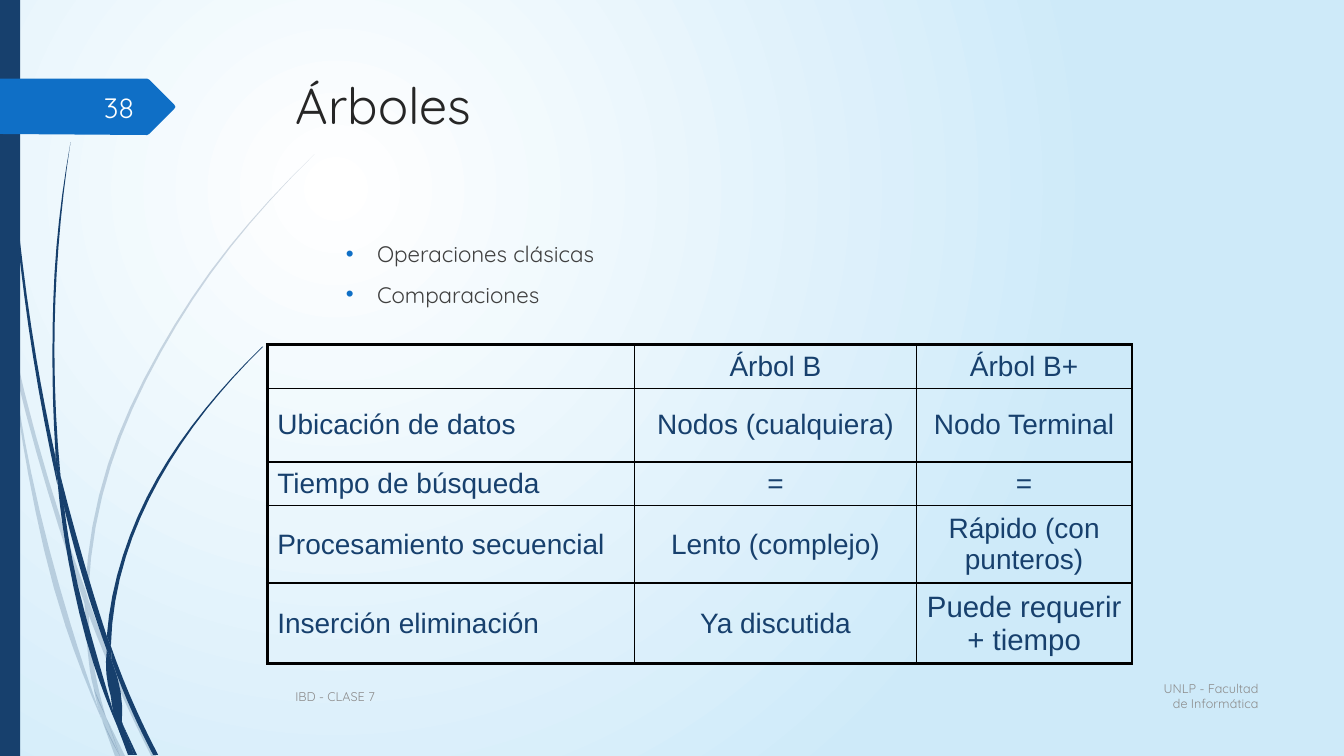
from dataclasses import dataclass

import pptx
import pptx.dml.color
import pptx.enum.shapes
import pptx.enum.text
import pptx.oxml.ns
import pptx.util
from lxml import etree

ALIGN, ANCHOR = pptx.enum.text.PP_ALIGN, pptx.enum.text.MSO_ANCHOR
Inches, Pt, qn = pptx.util.Inches, pptx.util.Pt, pptx.oxml.ns.qn
SLIDE_W, SLIDE_H = Inches(13.333), Inches(7.5)


@dataclass(frozen=True)
class Theme:
    font: str = "Quicksand"
    table_font: str = "Arial"
    navy: str = "17406D"
    blue: str = "0F6FC6"
    background: tuple = ("FFFFFF", "CEEAF9")
    border: str = "000000"
    title: tuple = (36, "262626")
    body: tuple = (16, "404040")
    footer: tuple = (9, "8C8C8C")
    number: tuple = (20, "FEFFFF")
    cell: tuple = (20, "17406D")
    last_cell: tuple = (21, "17406D")
    inner_border: float = 1
    outer_border: float = 2.25


THEME = Theme()

# Stalk pieces: left edge and right edge, top to bottom, in inches
PALE_STALKS = [
    ([(0, 2.99), (0.11, 3.5)], [(0, 2.82), (0.09, 3.22), (0.11, 3.5)]),
    ([(0.17, 3.76), (0.58, 5.22), (0.84, 5.99)], [(0.14, 3.45), (0.62, 5.2), (0.85, 5.86)]),
    ([(0.88, 6.1), (1.23, 6.94), (1.5, 7.5)], [(0.88, 5.96), (1.27, 6.92), (1.55, 7.5)]),
    ([(1.05, 7.11), (1.19, 7.5)], [(1.05, 7.11), (1.24, 7.5)]),
    ([(0.11, 3.5), (0.28, 4.7), (0.65, 6.21), (1.01, 7.14)],
     [(0.11, 3.5), (0.31, 4.69), (0.7, 6.19), (0.99, 7.07)]),
    ([(0.84, 5.99), (0.87, 6.46), (0.93, 6.83), (1.05, 7.11)],
     [(0.88, 6.1), (0.91, 6.46), (1.05, 7.11)]),
    ([(3.12, 1.53), (2.28, 2.44), (1.58, 3.48), (1.07, 4.61), (0.85, 5.84)],
     [(3.12, 1.53), (2.29, 2.45), (1.6, 3.49), (1.1, 4.62), (0.88, 5.84)]),
    ([(1.01, 7.14), (1.14, 7.5)], [(1.01, 7.14), (1.19, 7.5)]),
    ([(0.85, 5.86), (0.84, 5.99)], [(0.88, 5.96), (0.88, 6.1)]),
    ([(0.93, 6.83), (0.99, 7.07), (1.19, 7.5)], [(0.93, 6.83), (1.05, 7.11), (1.19, 7.5)]),
]
DARK_STALKS = [
    ([(0.03, 0), (0.07, 1.1), (0.17, 2.33), (0.33, 3.55), (0.57, 4.81)],
     [(0.04, 0), (0.08, 1.09), (0.19, 2.32), (0.36, 3.55), (0.55, 4.53)]),
    ([(0.64, 5.05), (0.88, 5.92), (1.06, 6.45)], [(0.6, 4.72), (0.93, 5.9), (1.06, 6.31)]),
    ([(1.11, 6.56), (1.32, 7.08), (1.52, 7.49)], [(1.1, 6.41), (1.36, 7.06), (1.57, 7.49)]),
    ([(0.57, 4.77), (0.68, 5.57), (0.93, 6.59), (1.17, 7.22)],
     [(0.64, 5.05), (0.72, 5.56), (0.98, 6.57), (1.16, 7.17)]),
    ([(0.7, 1.41), (0.56, 2.45), (0.52, 3.49), (0.55, 4.49)],
     [(0.7, 1.41), (0.58, 2.45), (0.54, 3.49), (0.6, 4.72)]),
    ([(1.22, 7.19), (1.33, 7.49)], [(1.22, 7.19), (1.36, 7.49)]),
    ([(0.55, 4.49), (0.57, 4.77), (0.64, 5.05)], [(0.55, 4.49), (0.6, 4.72), (0.64, 5.05)]),
    ([(2.6, 3.44), (2.04, 4.05), (1.56, 4.74), (1.22, 5.51), (1.06, 6.31)],
     [(2.61, 3.44), (2.05, 4.06), (1.58, 4.76), (1.25, 5.52), (1.1, 6.41)]),
    ([(1.17, 7.22), (1.27, 7.49)], [(1.17, 7.22), (1.31, 7.49)]),
    ([(1.06, 6.45), (1.1, 6.91), (1.22, 7.19)], [(1.06, 6.45), (1.11, 6.56), (1.21, 7.16)]),
    ([(1.06, 6.31), (1.06, 6.45)], [(1.1, 6.41), (1.11, 6.56)]),
    ([(1.1, 6.91), (1.17, 7.22), (1.3, 7.49)], [(1.1, 6.91), (1.22, 7.19), (1.33, 7.49)]),
]
NUMBER_TAG = [(0, 0.78), (1.46, 0.78), (1.48, 0.79), (1.73, 1.04), (1.74, 1.06),
              (1.73, 1.08), (1.48, 1.33), (1.46, 1.34), (0, 1.33)]
COLUMN_SHARES, ROW_SHARES = [27.35, 20.95, 16.05], [5.73, 9.73, 5.73, 6.8, 6.8]
COMPARISON = [
    ["", "Árbol B", "Árbol B+"],
    ["Ubicación de datos", "Nodos (cualquiera)", "Nodo Terminal"],
    ["Tiempo de búsqueda", "=", "="],
    ["Procesamiento secuencial", "Lento (complejo)", "Rápido (con punteros)"],
    ["Inserción eliminación", "Ya discutida", "Puede requerir + tiempo"],
]


def area(left, top, width, height):
    """Turn percentages of the slide into a position and size."""
    sides = ((left, SLIDE_W), (top, SLIDE_H), (width, SLIDE_W), (height, SLIDE_H))
    return [round(whole * share / 100) for share, whole in sides]


def rgb(color):
    return pptx.dml.color.RGBColor.from_string(color)


def style(paragraph, look, font=THEME.font, align=ALIGN.LEFT):
    size, color = look
    paragraph.alignment = align
    paragraph.font.name, paragraph.font.size = font, Pt(size)
    paragraph.font.color.rgb = rgb(color)


def paint(shape, color, alpha=100):
    shape.shadow.inherit = False
    shape.fill.solid()
    shape.fill.fore_color.rgb = rgb(color)
    shape.line.fill.background()
    if alpha < 100:
        fill = shape.element.spPr.find(qn("a:solidFill"))
        etree.SubElement(fill[0], qn("a:alpha"), val=str(alpha * 1000))


def add_outline(slide, points, color, alpha=100):
    corners = [(Inches(x), Inches(y)) for x, y in points]
    builder = slide.shapes.build_freeform(*corners[0])
    builder.add_line_segments(corners[1:], close=True)
    paint(builder.convert_to_shape(), color, alpha)


def smooth(edge, steps=4):
    """Run a cubic curve x(y) through the points of an edge."""
    if len(edge) < 3:
        return edge
    slopes = []
    for i, (_, y) in enumerate(edge):
        middle = min(max(i, 1), len(edge) - 2)
        (xa, ya), (xb, yb), (xc, yc) = edge[middle - 1:middle + 2]
        first, second = (xb - xa) / (yb - ya), (xc - xb) / (yc - yb)
        slopes.append(first + (second - first) / (yc - ya) * (2 * y - ya - yb))
    curve = [edge[0]]
    for (x0, y0), (x1, y1), m0, m1 in zip(edge, edge[1:], slopes, slopes[1:]):
        for t in (step / steps for step in range(1, steps + 1)):
            bend = t * (1 - t) * (y1 - y0) * ((1 - t) * m0 - t * m1)
            curve.append((x0 + (x1 - x0) * t * t * (3 - 2 * t) + bend, y0 + (y1 - y0) * t))
    return curve


def set_background(slide):
    fill = slide.background.fill
    fill.gradient()
    for stop, color, position in zip(fill.gradient_stops, THEME.background, (0, 1)):
        stop.color.rgb, stop.position = rgb(color), position
    gradient = next(slide.element.iter(qn("a:gradFill")))
    circle = etree.Element(qn("a:path"), {"path": "circle"})
    etree.SubElement(circle, qn("a:fillToRect"), l="50000", t="50000", r="100000", b="100000")
    gradient.replace(gradient.find(qn("a:lin")), circle)


def add_label(slide, text, place, look, align=ALIGN.LEFT):
    frame = slide.shapes.add_textbox(*place).text_frame
    frame.word_wrap, frame.vertical_anchor = True, ANCHOR.MIDDLE
    frame.text = text
    style(frame.paragraphs[0], look, align=align)


def fill_placeholder(holder, lines, place, look, bulleted=False):
    holder.left, holder.top, holder.width, holder.height = place
    frame = holder.text_frame
    frame.text = "\n".join(lines)
    frame.auto_size = pptx.enum.text.MSO_AUTO_SIZE.NONE
    frame.vertical_anchor = ANCHOR.TOP
    for i, paragraph in enumerate(frame.paragraphs):
        paragraph.space_before = Pt(10 if i else 0)
        if bulleted:
            add_bullet(paragraph)
        style(paragraph, look)


def add_bullet(paragraph):
    paragraph.level = 1
    properties = paragraph._p.get_or_add_pPr()
    properties.set("marL", str(Inches(0.81)))
    properties.set("indent", str(Inches(-0.31)))
    bullet_color = etree.SubElement(properties, qn("a:buClr"))
    etree.SubElement(bullet_color, qn("a:srgbClr"), val=THEME.blue)
    etree.SubElement(properties, qn("a:buChar"), char="•")


def add_borders(cell, outer_sides):
    for side, is_outer in outer_sides.items():
        width = Pt(THEME.outer_border if is_outer else THEME.inner_border)
        line = etree.SubElement(cell._tc.get_or_add_tcPr(), qn("a:ln" + side), w=str(width))
        etree.SubElement(etree.SubElement(line, qn("a:solidFill")), qn("a:srgbClr"), val=THEME.border)


def add_comparison(slide, left, top):
    place = area(left, top, sum(COLUMN_SHARES), sum(ROW_SHARES))
    last_row, last_col = len(ROW_SHARES) - 1, len(COLUMN_SHARES) - 1
    table = slide.shapes.add_table(last_row + 1, last_col + 1, *place).table
    table.first_row = table.horz_banding = False
    for column, share in zip(table.columns, COLUMN_SHARES):
        column.width = round(SLIDE_W * share / 100)
    for r, (row, share) in enumerate(zip(table.rows, ROW_SHARES)):
        row.height = round(SLIDE_H * share / 100)
        for c, cell in enumerate(row.cells):
            cell.text, cell.vertical_anchor = COMPARISON[r][c], ANCHOR.MIDDLE
            look = THEME.last_cell if (r, c) == (last_row, last_col) else THEME.cell
            style(cell.text_frame.paragraphs[0], look, THEME.table_font, ALIGN.CENTER if c else ALIGN.LEFT)
            add_borders(cell, {"L": c == 0, "R": c == last_col, "T": r == 0, "B": r == last_row})
            cell.fill.background()


def main():
    deck = pptx.Presentation()
    deck.slide_width, deck.slide_height = SLIDE_W, SLIDE_H
    slide = deck.slides.add_slide(deck.slide_layouts[1])
    set_background(slide)
    # Decoration on the left
    for stalks, alpha in ((PALE_STALKS, 20), (DARK_STALKS, 100)):
        for left_edge, right_edge in stalks:
            add_outline(slide, smooth(left_edge) + smooth(right_edge)[::-1], THEME.navy, alpha)
    paint(slide.shapes.add_shape(pptx.enum.shapes.MSO_SHAPE.RECTANGLE, *area(0, 0, 1.5, 100)), THEME.navy)
    add_outline(slide, NUMBER_TAG, THEME.blue)
    # Footer and slide number
    add_label(slide, "UNLP - Facultad de Informática", area(84.98, 89.33, 9.38, 5.47), THEME.footer, ALIGN.RIGHT)
    add_label(slide, "IBD - CLASE 7", area(21.23, 89.47, 62.48, 5.33), THEME.footer)
    add_label(slide, "38", area(4.35, 11.47, 6.38, 5.33), THEME.number, ALIGN.RIGHT)
    # Title, topics and comparison
    fill_placeholder(slide.shapes.title, ["Árboles"], area(21.27, 9.07, 73.13, 18.67), THEME.title)
    fill_placeholder(slide.placeholders[1], ["Operaciones clásicas", "Comparaciones"],
                     area(21.23, 31.07, 73.13, 55.07), THEME.body, bulleted=True)
    add_comparison(slide, 19.88, 45.6)
    deck.save("out.pptx")


if __name__ == "__main__":
    main()
